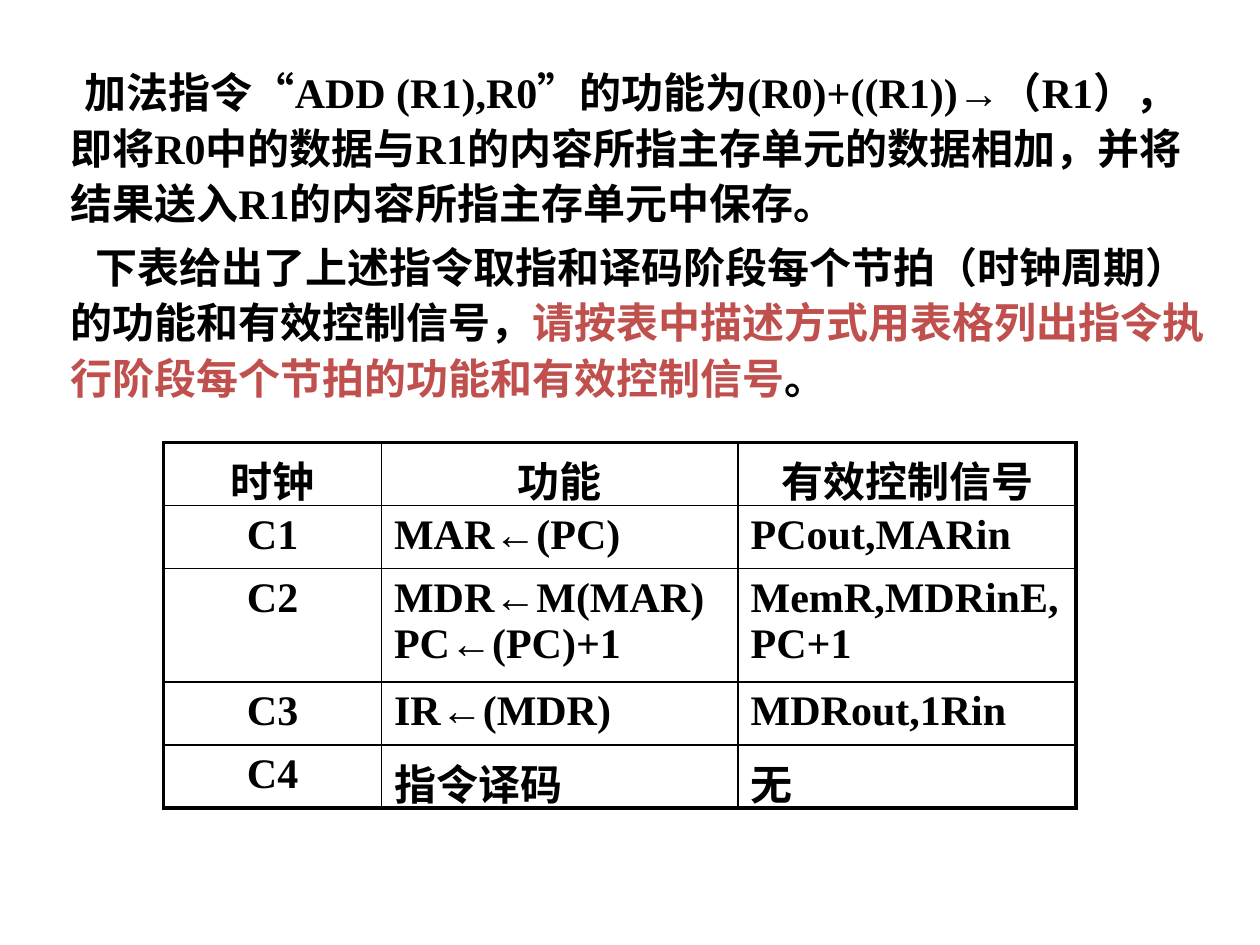
import dataclasses
import typing

import pptx
import pptx.dml.color
import pptx.enum.text
import pptx.oxml
import pptx.oxml.ns
import pptx.util

Cm = pptx.util.Cm
Pt = pptx.util.Pt
ALIGN = pptx.enum.text.PP_ALIGN
BLACK = "000000"
RED = "C0504D"
FONT_FORMAT = {"name": "Times New Roman", "size": Pt(24), "bold": True}
STATEMENT_FORMAT = {"line_spacing": 1.1, "space_before": Pt(4.8)}
THIN, THICK = 1, 2.25


@dataclasses.dataclass
class Phrase:
    text: str
    color: str = BLACK


@dataclasses.dataclass
class Statement:
    first_indent: float
    phrases: list[Phrase]


@dataclasses.dataclass
class Beat:
    height: float
    entries: tuple[str, str, str]


STATEMENTS = [
    Statement(0.29, [
        Phrase("加法指令“ADD (R1),R0”的功能为(R0)+((R1))→（R1），"
               "即将R0中的数据与R1的内容所指主存单元的数据相加，并"
               "将结果送入R1的内容所指主存单元中保存。"),
    ]),
    Statement(0.5, [
        Phrase("下表给出了上述指令取指和译码阶段每个节拍（时钟周期）"
               "的功能和有效控制信号，"),
        Phrase("请按表中描述方式用表格列出指令执行阶段每个节拍的功能和有效控制信号", RED),
        Phrase("。"),
    ]),
]
BEATS = [
    Beat(1.22, ("时钟", "功能", "有效控制信号")),
    Beat(1.27, ("C1", "MAR←(PC)", "PCout,MARin")),
    Beat(1.12, ("C2", "MDR←M(MAR)\nPC←(PC)+1", "MemR,MDRinE,\nPC+1")),
    Beat(1.12, ("C3", "IR←(MDR)", "MDRout,1Rin")),
    Beat(1.14, ("C4", "指令译码", "无")),
]
COLUMN_WIDTHS = (4.39, 7.19, 6.81)


def apply_format(target: typing.Any, values: dict[str, typing.Any]) -> None:
    for attribute, value in values.items():
        setattr(target, attribute, value)


def rgb(color: str) -> pptx.dml.color.RGBColor:
    return pptx.dml.color.RGBColor.from_string(color)


def add_phrase(paragraph: typing.Any, phrase: Phrase) -> None:
    run = paragraph.add_run()
    run.text = phrase.text
    apply_format(run.font, FONT_FORMAT)
    run.font.color.rgb = rgb(phrase.color)


def paragraph_at(frame: typing.Any, index: int) -> typing.Any:
    return frame.add_paragraph() if index else frame.paragraphs[0]


def add_statements(slide: typing.Any, statements: list[Statement]) -> None:
    frame = slide.shapes.add_textbox(Cm(0.69), Cm(1.12), Cm(24), Cm(8.99)).text_frame
    frame.word_wrap = True
    for index, statement in enumerate(statements):
        paragraph = paragraph_at(frame, index)
        apply_format(paragraph, STATEMENT_FORMAT)
        properties = paragraph._p.get_or_add_pPr()
        properties.set("marL", str(Cm(0.48)))
        properties.set("indent", str(Cm(statement.first_indent)))
        for phrase in statement.phrases:
            add_phrase(paragraph, phrase)


def set_borders(cell: typing.Any, widths: dict[str, float]) -> None:
    properties = cell._tc.get_or_add_tcPr()
    for position, (side, width) in enumerate(widths.items()):
        properties.insert(position, pptx.oxml.parse_xml(
            f'<a:{side} {pptx.oxml.ns.nsdecls("a")} w="{Pt(width)}">'
            f'<a:solidFill><a:srgbClr val="{BLACK}"/></a:solidFill></a:{side}>'))


def add_beat_table(slide: typing.Any, beats: list[Beat]) -> None:
    holder = slide.shapes.add_table(
        len(beats), len(COLUMN_WIDTHS), Cm(3.3), Cm(8.92), Cm(18.39), Cm(7.37))
    table = holder.table
    apply_format(table, {"first_row": False, "horz_banding": False})
    for column, width in zip(table.columns, COLUMN_WIDTHS):
        column.width = Cm(width)
    last_row, last_column = len(beats) - 1, len(COLUMN_WIDTHS) - 1
    for row, beat in enumerate(beats):
        table.rows[row].height = Cm(beat.height)
        for column, entry in enumerate(beat.entries):
            cell = table.cell(row, column)
            cell.fill.background()
            set_borders(cell, {
                "lnL": THICK if column == 0 else THIN,
                "lnR": THICK if column == last_column else THIN,
                "lnT": THICK if row == 0 else THIN,
                "lnB": THICK if row == last_row else THIN,
            })
            centred = row == 0 or column == 0
            for index, line in enumerate(entry.split("\n")):
                paragraph = paragraph_at(cell.text_frame, index)
                paragraph.alignment = ALIGN.CENTER if centred else ALIGN.LEFT
                add_phrase(paragraph, Phrase(line))
    holder.height = Cm(7.37)


presentation = pptx.Presentation()
apply_format(presentation, {"slide_width": Cm(25.4), "slide_height": Cm(19.05)})
exercise = presentation.slides.add_slide(presentation.slide_layouts[6])
add_statements(exercise, STATEMENTS)
add_beat_table(exercise, BEATS)
presentation.save("out.pptx")
